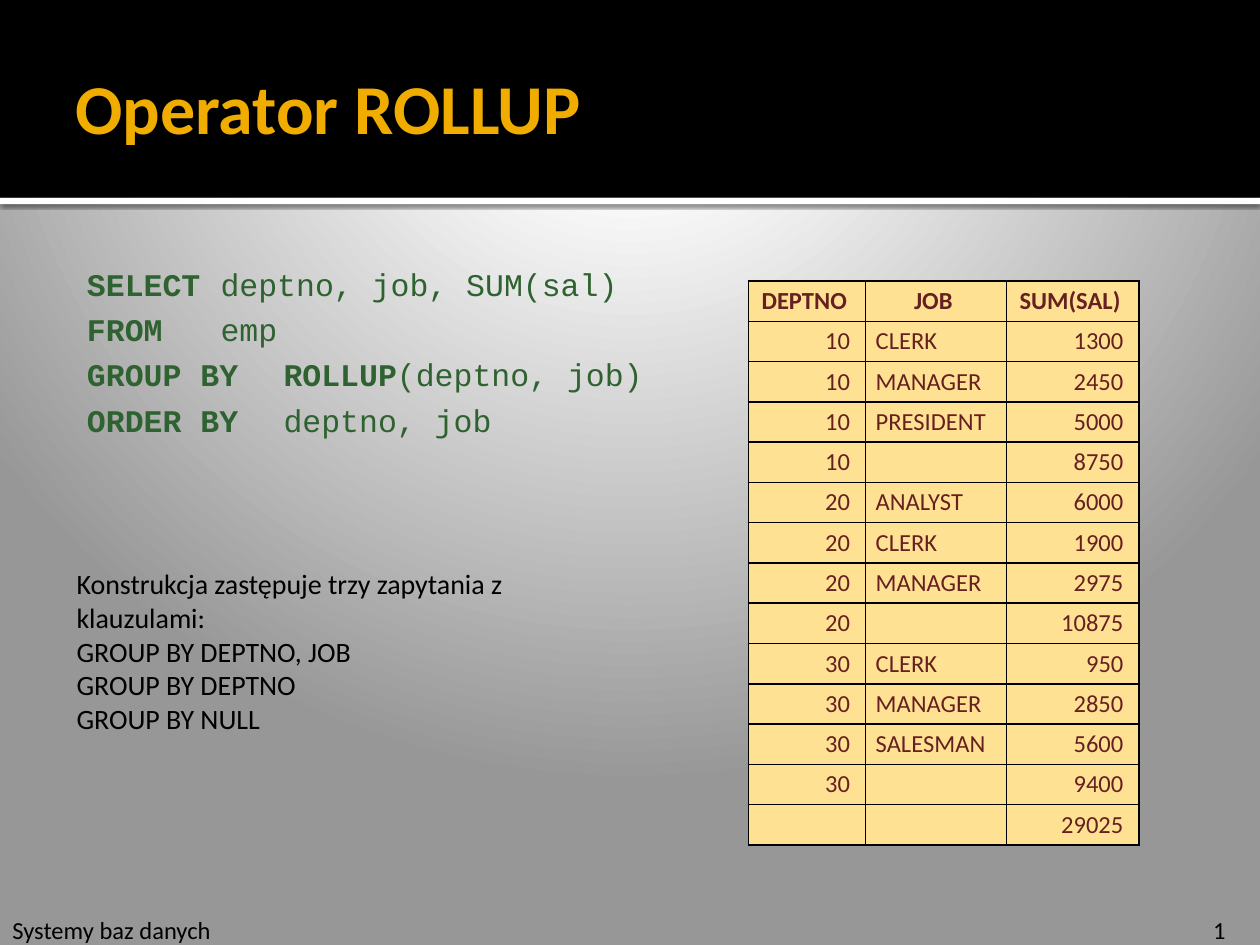
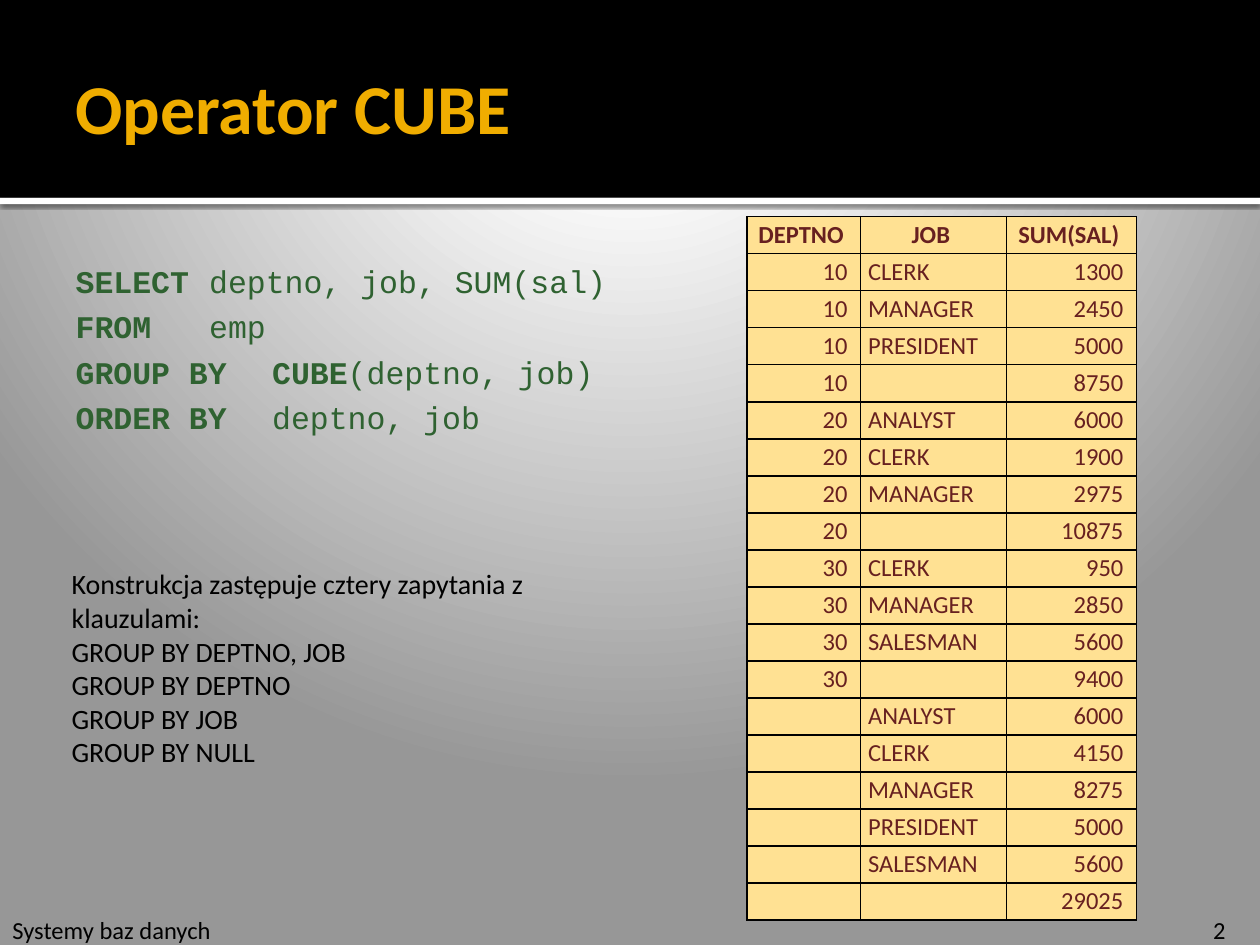
from pptx import Presentation
from pptx.dml.color import RGBColor
from pptx.enum import shapes, text
from pptx.oxml import parse_xml
from pptx.oxml.ns import nsdecls
from pptx.util import Inches, Pt

BLACK, WHITE, GREY = "000000", "FFFFFF", "979797"
GOLD, GREEN, MAROON, CREAM = "F0AD00", "2F6231", "672020", "FFE193"
SANS, MONO = "Calibri", "Courier New"
ALIGN = text.PP_ALIGN
FIT = text.MSO_AUTO_SIZE

# Query results: ROLLUP gives the first and last part, CUBE all three
HEADER = ("DEPTNO", "JOB", "SUM(SAL)")
BY_DEPTNO = [
    (10, "CLERK", 1300), (10, "MANAGER", 2450), (10, "PRESIDENT", 5000), (10, "", 8750),
    (20, "ANALYST", 6000), (20, "CLERK", 1900), (20, "MANAGER", 2975), (20, "", 10875),
    (30, "CLERK", 950), (30, "MANAGER", 2850), (30, "SALESMAN", 5600), (30, "", 9400),
]
BY_JOB = [
    ("", "ANALYST", 6000), ("", "CLERK", 4150), ("", "MANAGER", 8275),
    ("", "PRESIDENT", 5000), ("", "SALESMAN", 5600),
]
TOTAL = [("", "", 29025)]


def color(hex_string):
    return RGBColor.from_string(hex_string)


def xml(tag, attributes="", content=""):
    return parse_xml(f"<a:{tag} {nsdecls('a')} {attributes}>{content}</a:{tag}>")


def solid(hex_string, content=""):
    return f'<a:solidFill><a:srgbClr val="{hex_string}">{content}</a:srgbClr></a:solidFill>'


def place(shape, left, top, width, height):
    shape.left, shape.top = Inches(left), Inches(top)
    shape.width, shape.height = Inches(width), Inches(height)


def set_insets(target, left, top, right, bottom):
    target.margin_left, target.margin_top = Inches(left), Inches(top)
    target.margin_right, target.margin_bottom = Inches(right), Inches(bottom)


def set_font(paragraph, name, size, hex_string, bold=None):
    font = paragraph.font
    font.name, font.size, font.bold = name, Pt(size), bold
    font.color.rgb = color(hex_string)


class Lecture:
    """Holds the deck, its style and the current slide."""

    def __init__(self):
        self.deck = Presentation()
        self.deck.slide_width, self.deck.slide_height = Inches(10), Inches(7.5)
        self.page = None

    def add_page(self):
        self.page = self.deck.slides.add_slide(self.deck.slide_layouts[1])

    # Shared parts, kept on the slide master
    def share(self, shape):
        tree = self.deck.slide_master.shapes._spTree
        shape._element.nvSpPr.cNvPr.set("id", str(100 + len(tree)))
        tree.append(shape._element)

    def background(self):
        fill = self.deck.slide_master.background.fill
        fill.solid()
        stops = "".join(
            f'<a:gs pos="{percent * 1000}"><a:srgbClr val="{shade}"/></a:gs>'
            for percent, shade in [(0, WHITE), (12, WHITE), (20, WHITE), (100, GREY)])
        gradient = xml("gradFill", 'rotWithShape="1"', (
            f'<a:gsLst>{stops}</a:gsLst><a:path path="circle">'
            '<a:fillToRect l="10000" t="-25000" r="10000" b="125000"/></a:path>'))
        properties = self.deck.slide_master._element.cSld.bg.bgPr
        properties.replace(properties[0], gradient)

    def band(self, top, height, hex_string, shadow=False):
        band = self.page.shapes.add_shape(
            shapes.MSO_SHAPE.RECTANGLE, 0, Inches(top), Inches(10), Inches(height))
        band.fill.solid()
        band.fill.fore_color.rgb = color(hex_string)
        band.line.fill.background()
        band.shadow.inherit = False
        if shadow:
            band._element.spPr.find("{*}effectLst").append(xml(
                "outerShdw", f'blurRad="{Pt(2.5)}" dist="{Pt(0.8)}" dir="5400000" algn="t"',
                f'<a:srgbClr val="{BLACK}"><a:alpha val="60000"/></a:srgbClr>'))
        self.share(band)

    def footer(self, left, width, label=None):
        box = self.text_box((left, 7.21, width, 0.34), [label or ""], 14)
        if label is None:
            number = xml("fld", 'id="{B6F15528-21DE-4FAA-801E-634DDDAF4B2B}" type="slidenum"',
                         f'<a:rPr sz="1400">{solid(BLACK)}<a:latin typeface="{SANS}"/></a:rPr>'
                         "<a:t>1</a:t>")
            box.text_frame.paragraphs[0]._p.append(number)
        self.share(box)

    # Parts of a single slide
    def text_box(self, area, lines, size):
        box = self.page.shapes.add_textbox(*map(Inches, area))
        frame = box.text_frame
        frame.word_wrap = True
        frame.auto_size = FIT.SHAPE_TO_FIT_TEXT
        frame.text = "\n".join(lines)
        for paragraph in frame.paragraphs:
            set_font(paragraph, SANS, size, BLACK)
        return box

    def title(self, words):
        title = self.page.shapes.title
        place(title, 0.5, 0.46, 9, 0.77)
        frame = title.text_frame
        frame.text = words
        frame.auto_size = FIT.NONE
        frame.vertical_anchor = text.MSO_ANCHOR.MIDDLE
        set_insets(frame, 0.1, 0.05, 0.05, 0.05)
        paragraph = frame.paragraphs[0]
        paragraph.alignment = ALIGN.LEFT
        set_font(paragraph, SANS, 40, GOLD, True)

    def query(self, area, clauses):
        """Each clause is a bold part and a plain part."""
        body = self.page.placeholders[1]
        place(body, *area)
        frame = body.text_frame
        frame.auto_size = FIT.SHAPE_TO_FIT_TEXT
        set_insets(frame, 0.06, 0.1, 0.1, 0.05)
        for index, clause in enumerate(clauses):
            paragraph = frame.add_paragraph() if index else frame.paragraphs[0]
            paragraph.line_spacing, paragraph.space_before = 1.2, Pt(0)
            properties = paragraph._p.get_or_add_pPr()
            properties.set("marL", str(Inches(0.69)))
            properties.set("indent", str(Inches(-0.56)))
            properties.append(xml("buNone"))
            properties.append(xml("tabLst", "", f'<a:tab pos="{Inches(1.57)}" algn="l"/>'))
            set_font(paragraph, MONO, 18, GREEN)
            for words, bold in zip(clause, (True, False)):
                span = paragraph.add_run()
                span.text, span.font.bold = words, bold

    def result_table(self, left, top, widths, row_height, insets, records):
        rows = [HEADER] + records
        table = self.page.shapes.add_table(
            len(rows), len(widths), Inches(left), Inches(top),
            Inches(sum(widths)), Inches(row_height * len(rows))).table
        table.first_row = table.horz_banding = False
        for column, width in zip(table.columns, widths):
            column.width = Inches(width)
        for row_index, values in enumerate(rows):
            table.rows[row_index].height = Inches(row_height)
            for column_index, value in enumerate(values):
                self.cell(table.cell(row_index, column_index), value, insets,
                          header=row_index == 0, numeric=column_index != 1)

    def cell(self, cell, value, insets, header, numeric):
        borders = cell._tc.get_or_add_tcPr()
        for side in ("lnL", "lnR", "lnT", "lnB"):
            borders.append(xml(side, f'w="{Pt(1)}"', solid(BLACK)))
        cell.fill.solid()
        cell.fill.fore_color.rgb = color(CREAM)
        cell.vertical_anchor = text.MSO_ANCHOR.MIDDLE
        set_insets(cell, *insets)
        padded = value != "" and (header or numeric)
        cell.text = f"{value} " if padded else value
        paragraph = cell.text_frame.paragraphs[0]
        paragraph.alignment = ALIGN.CENTER if header else ALIGN.RIGHT if numeric else ALIGN.LEFT
        set_font(paragraph, SANS, 14, MAROON, header)
        if value == "":
            paragraph._p.get_or_add_endParaRPr().set("sz", "1400")


def query_clauses(operator):
    return [("SELECT\t", "deptno, job, SUM(sal)"), ("FROM\t", "emp"),
            (f"GROUP BY\t{operator}", "(deptno, job)"), ("ORDER BY\t", "deptno, job")]


def note_lines(count, groupings):
    return [f"Konstrukcja zastępuje {count} zapytania z klauzulami:"] + [
        f"GROUP BY {grouping}" for grouping in groupings]


def main():
    lecture = Lecture()

    # Slide 1: ROLLUP, and the parts all slides share
    lecture.add_page()
    lecture.background()
    lecture.band(1.57, 0.05, WHITE, shadow=True)
    lecture.band(0, 1.57, BLACK)
    lecture.footer(0, 2.87, "Systemy baz danych")
    lecture.footer(9.53, 0.47)
    lecture.title("Operator ROLLUP")
    lecture.query((0.5, 1.94, 4.97, 1.61), query_clauses("ROLLUP"))
    lecture.text_box((0.51, 4.45, 4.33, 1.45),
                     note_lines("trzy", ["DEPTNO, JOB", "DEPTNO", "NULL"]), 16)
    lecture.result_table(5.94, 2.23, (0.93, 1.12, 1.05), 0.32,
                         (0.08, 0.04, 0.08, 0.04), BY_DEPTNO + TOTAL)

    # Slide 2: CUBE
    lecture.add_page()
    lecture.title("Operator CUBE")
    lecture.query((0.41, 1.92, 5.38, 1.59), query_clauses("CUBE"))
    lecture.text_box((0.47, 4.45, 4.45, 1.72),
                     note_lines("cztery", ["DEPTNO, JOB", "DEPTNO", "JOB", "NULL"]), 16)
    lecture.result_table(5.93, 1.72, (0.9, 1.16, 1.03), 0.29,
                         (0.06, 0.03, 0.06, 0.03), BY_DEPTNO + BY_JOB + TOTAL)

    lecture.deck.save("out.pptx")


if __name__ == "__main__":
    main()
